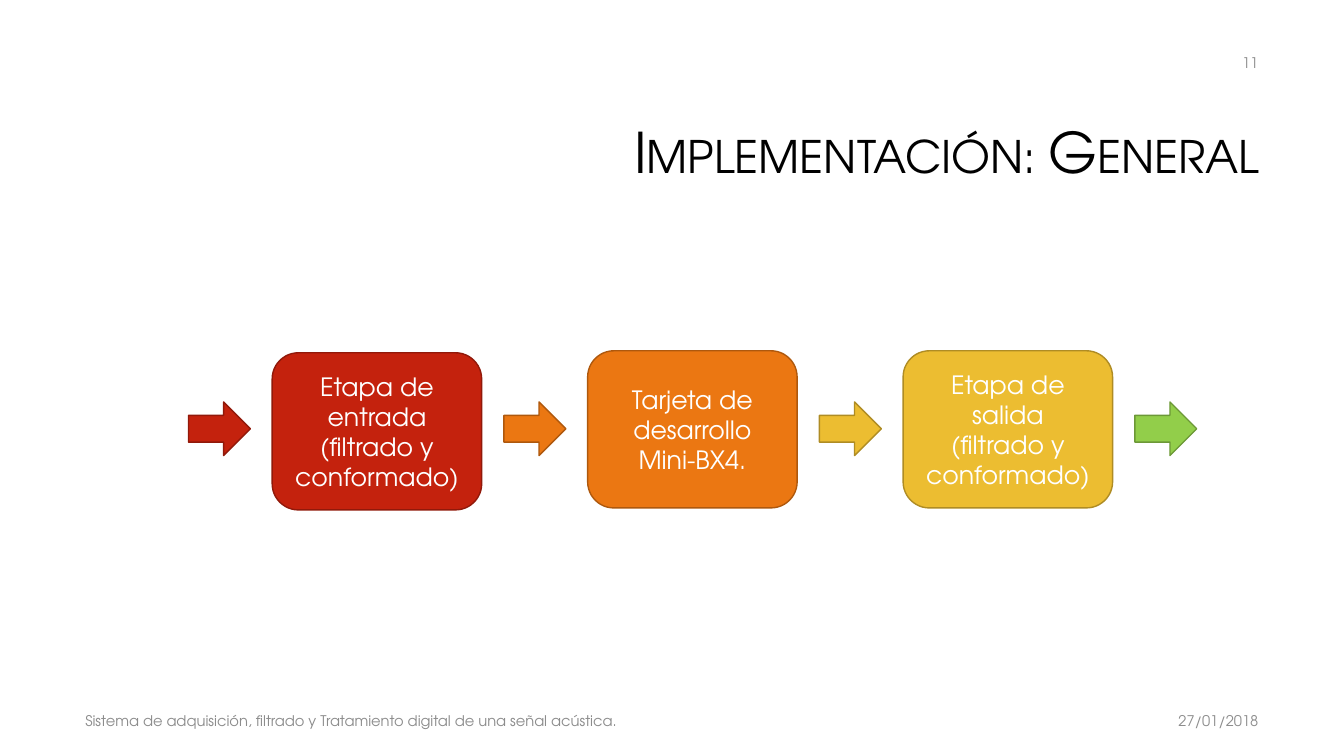
"""Build the slide that shows the general implementation as a chain of stages."""
from dataclasses import dataclass

import pptx
import pptx.dml.color
import pptx.enum.shapes
import pptx.enum.text
import pptx.util

Cm, Pt = pptx.util.Cm, pptx.util.Pt
RGB = pptx.dml.color.RGBColor
Shape = pptx.enum.shapes.MSO_SHAPE
Align = pptx.enum.text.PP_ALIGN

FONT = "TeX Gyre Adventor"
COLORS = {
    "title": "000000",
    "note": "8C8C8C",
    "label": "FFFFFF",
    "red": "C4220D",
    "red_edge": "91190A",
    "orange": "EB7712",
    "orange_edge": "AE580D",
    "yellow": "ECBD31",
    "yellow_edge": "AF8C24",
    "green": "92CE4A",
    "green_edge": "6C9837",
}
PITCH = 7.95


@dataclass
class Stage:
    """An arrow and the box it leads to, if there is one."""
    color: str
    lines: tuple[str, ...] = ()
    top: float = 8.84


@dataclass
class Note:
    """A small grey text at the edge of the slide."""
    text: str
    left: float
    top: float
    width: float
    align: Align


STAGES = [
    Stage("red", ("Etapa de entrada (filtrado y conformado)",), 8.89),
    Stage("orange", ("Tarjeta de desarrollo Mini-BX4.",)),
    Stage("yellow", ("Etapa de salida", "(filtrado y conformado)")),
    Stage("green"),
]
NOTES = [
    Note("27/01/2018", 23.88, 17.65, 8.08, Align.RIGHT),
    Note("Sistema de adquisición, filtrado y Tratamiento digital de una señal acústica.",
         1.9, 17.65, 21.59, Align.LEFT),
    Note("11", 24.34, 1.07, 7.62, Align.RIGHT),
]


def write(s, lines: tuple[str, ...], size: float, color: str, align: Align) -> None:
    """Fill a shape with vertically centred paragraphs."""
    tf = s.text_frame
    tf.word_wrap = True
    tf.auto_size = pptx.enum.text.MSO_AUTO_SIZE.NONE
    tf.vertical_anchor = pptx.enum.text.MSO_ANCHOR.MIDDLE
    tf.text = "\n".join(lines)
    for p in tf.paragraphs:
        p.alignment = align
        p.font.name = FONT
        p.font.size = Pt(size)
        p.font.color.rgb = RGB.from_string(COLORS[color])


def add_title(sp, text: str) -> None:
    """Place and format the title placeholder in small capitals."""
    sp.left, sp.top, sp.width, sp.height = Cm(8.05), Cm(2.13), Cm(23.93), Cm(3.58)
    write(sp, (text,), 40, "title", Align.RIGHT)
    p = sp.text_frame.paragraphs[0]
    p.line_spacing = 0.9
    p.runs[0]._r.get_or_add_rPr().set("cap", "small")


def add_note(s, note: Note) -> None:
    """Add one of the small grey texts."""
    sp = s.shapes.add_textbox(Cm(note.left), Cm(note.top), Cm(note.width), Cm(1.02))
    write(sp, (note.text,), 10.5, "note", note.align)


def add_block(s, kind: Shape, left: float, top: float, width: float, height: float, color: str):
    """Add a filled shape with its darker outline."""
    sp = s.shapes.add_shape(kind, Cm(left), Cm(top), Cm(width), Cm(height))
    sp.shadow.inherit = False
    sp.fill.solid()
    sp.fill.fore_color.rgb = RGB.from_string(COLORS[color])
    sp.line.color.rgb = RGB.from_string(COLORS[color + "_edge"])
    sp.line.width = Pt(1)
    return sp


def add_stage(s, index: int, stage: Stage) -> None:
    """Add the arrow of a stage and its box."""
    left = 4.75 + index * PITCH
    add_block(s, Shape.RIGHT_ARROW, left, 10.13, 1.56, 1.35, stage.color)
    if stage.lines:
        sp = add_block(s, Shape.ROUNDED_RECTANGLE, left + 2.11, stage.top, 5.28, 3.96, stage.color)
        write(sp, stage.lines, 18, "label", Align.CENTER)


def main() -> None:
    """Build and save the presentation."""
    prs = pptx.Presentation()
    prs.slide_width, prs.slide_height = Cm(33.87), Cm(19.05)
    s = prs.slides.add_slide(prs.slide_layouts[5])
    add_title(s.shapes.title, "Implementación: General")
    for note in NOTES:
        add_note(s, note)
    for index, stage in enumerate(STAGES):
        add_stage(s, index, stage)
    prs.save("out.pptx")


if __name__ == "__main__":
    main()
